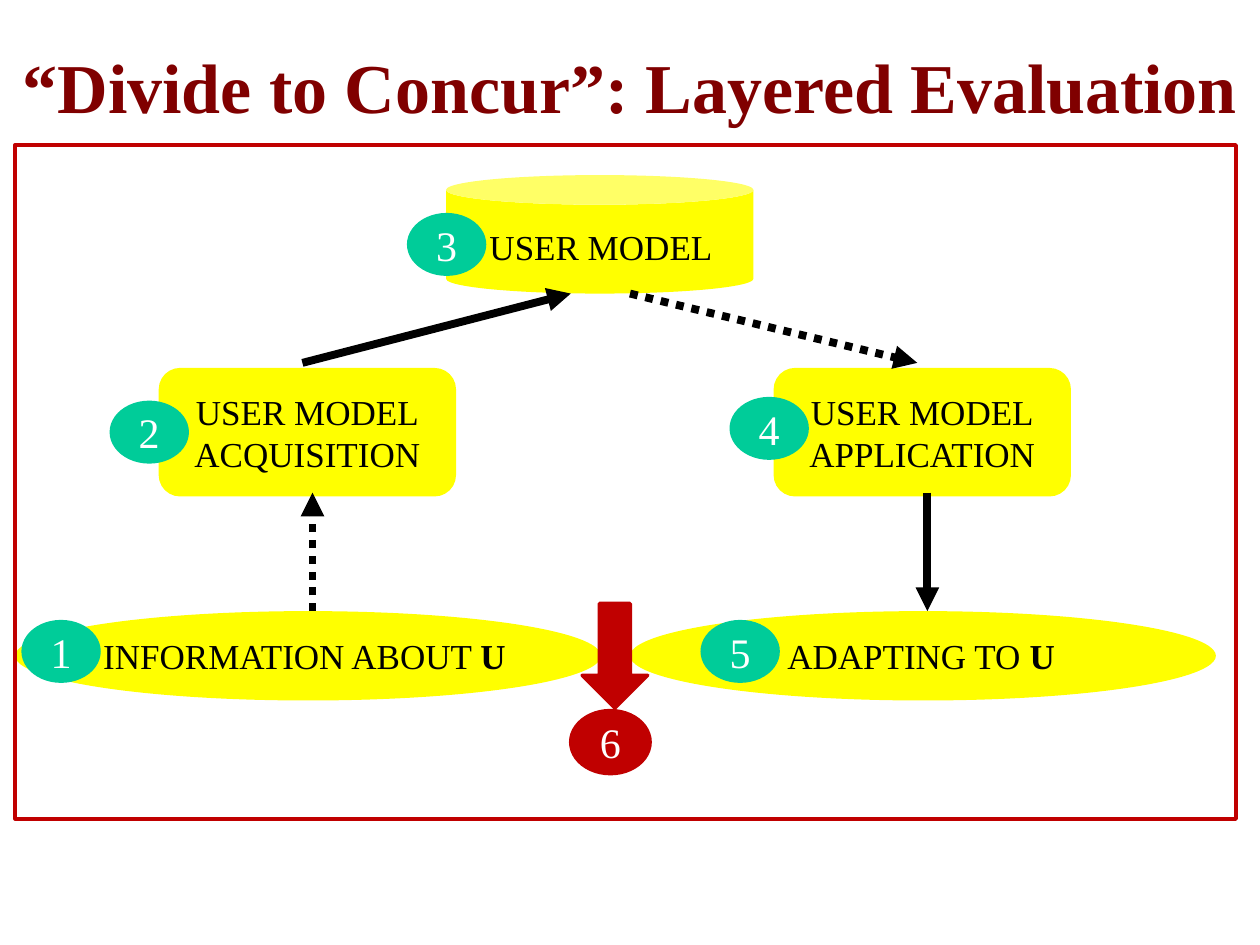
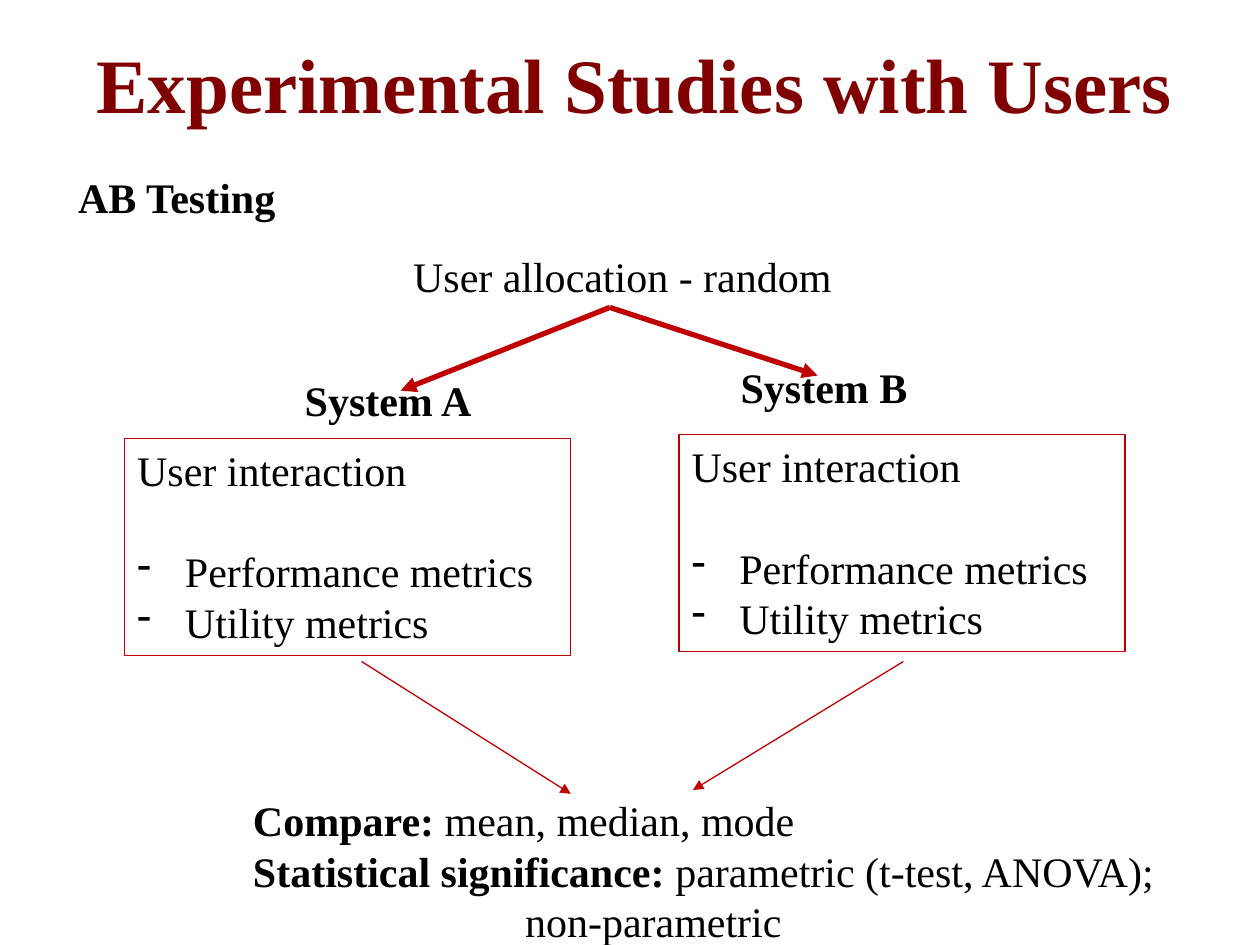
from typing import NamedTuple

from lxml.etree import SubElement
from pptx import Presentation
from pptx.dml.color import RGBColor
from pptx.enum.dml import MSO_LINE_DASH_STYLE as Dash
from pptx.enum.shapes import MSO_AUTO_SHAPE_TYPE as Kind, MSO_CONNECTOR_TYPE as Link
from pptx.enum.text import MSO_ANCHOR as Anchor, MSO_AUTO_SIZE as Fit, PP_ALIGN as Align
from pptx.oxml.ns import qn
from pptx.util import Inches, Pt

# Shared look; the grid has 100 columns and 75 rows
WIDE, HIGH = Inches(10), Inches(7.5)
COLS, ROWS = 100, 75
FONT = "Times New Roman"
MAROON, RED, YELLOW, GREEN = "800000", "C00000", "FFFF00", "00CC99"
BLACK, WHITE = "000000", "FFFFFF"
BADGE_W, BADGE_H = 6.3, 5


class Area(NamedTuple):
    col: float
    row: float
    cols: float
    rows: float


class Node(NamedTuple):
    kind: Kind
    area: Area
    text: str
    label: Area
    align: Align = Align.CENTER


class Badge(NamedTuple):
    text: str
    col: float
    row: float
    color: str = GREEN


class Arrow(NamedTuple):
    start: tuple[float, float]
    end: tuple[float, float]
    width: float
    color: str = RED
    dots: bool = False


def across(col: float) -> int:
    return round(WIDE * col / COLS)


def down(row: float) -> int:
    return round(HIGH * row / ROWS)


def place(area: Area) -> tuple[int, int, int, int]:
    return across(area.col), down(area.row), across(area.cols), down(area.rows)


def paint(form, color: str) -> None:
    """Give a fill or a font its colour."""
    if hasattr(form, "solid"):
        form.solid()
        form.fore_color.rgb = RGBColor.from_string(color)
    else:
        form.color.rgb = RGBColor.from_string(color)


def write(frame, text: str, size: float, color: str = BLACK,
          align: Align = Align.LEFT) -> None:
    """Fill a frame; words between asterisks are bold."""
    frame.text = text
    for para in frame.paragraphs:
        first, *rest = para.text.split("*")
        para.text = first
        para.alignment = align
        for spot, part in enumerate(rest):
            if part:
                run = para.add_run()
                run.text = part
                run.font.bold = spot % 2 == 0
        for run in para.runs:
            run.font.name = FONT
            run.font.size = Pt(size)
            paint(run.font, color)


def indent(para, left: float, hang: float = 0, mark: str = "") -> None:
    """Set the indents and the bullet of a paragraph."""
    props = para._p.get_or_add_pPr()
    props.set("marL", str(across(left)))
    props.set("indent", str(-across(hang)))
    if mark:
        SubElement(props, qn("a:buChar")).set("char", mark)
    else:
        SubElement(props, qn("a:buNone"))


def add_title(slide, text: str, area: Area, size: float) -> None:
    title = slide.shapes.title
    title.left, title.top, title.width, title.height = place(area)
    frame = title.text_frame
    frame.auto_size = Fit.NONE
    frame.vertical_anchor = Anchor.MIDDLE
    write(frame, f"*{text}*", size, MAROON, Align.CENTER)


def add_label(slide, text: str, area: Area, size: float = 24,
              align: Align = Align.LEFT, wrap: bool = False):
    frame = slide.shapes.add_textbox(*place(area)).text_frame
    frame.word_wrap = wrap
    write(frame, text, size, align=align)
    return frame


def add_form(slide, kind: Kind, area: Area, fill: str = "", edge: str = "",
             width: float = 2):
    form = slide.shapes.add_shape(kind, *place(area))
    form.shadow.inherit = False
    if fill:
        paint(form.fill, fill)
    else:
        form.fill.background()
    if edge:
        paint(form.line.fill, edge)
        form.line.width = Pt(width)
    else:
        form.line.fill.background()
    return form


def add_node(slide, node: Node) -> None:
    add_form(slide, node.kind, node.area, YELLOW)
    add_label(slide, node.text, node.label, 20, node.align)


def add_badge(slide, badge: Badge) -> None:
    edge = RED if badge.color == RED else ""
    area = Area(badge.col, badge.row, BADGE_W, BADGE_H)
    form = add_form(slide, Kind.OVAL, area, badge.color, edge)
    form.text_frame.vertical_anchor = Anchor.MIDDLE
    form.text_frame.word_wrap = False
    write(form.text_frame, badge.text, 24, WHITE, Align.CENTER)


def add_arrow(slide, arrow: Arrow) -> None:
    (col, row), (to_col, to_row) = arrow.start, arrow.end
    link = slide.shapes.add_connector(
        Link.STRAIGHT, across(col), down(row), across(to_col), down(to_row))
    paint(link.line.fill, arrow.color)
    link.line.width = Pt(arrow.width)
    if arrow.dots:
        link.line.dash_style = Dash.ROUND_DOT
    SubElement(link.line._get_or_add_ln(), qn("a:tailEnd")).set("type", "triangle")
    SubElement(link._element.spPr, qn("a:effectLst"))


def add_layers(deck) -> None:
    slide = deck.slides.add_slide(deck.slide_layouts[5])
    add_title(slide, "“Divide to Concur”: Layered Evaluation", Area(0, 0.5, 100, 12.5), 40)

    # Layers, mirrored around the user model
    nodes = [
        Node(Kind.CAN, Area(35.4, 13.9, 24.4, 9.4), "USER MODEL",
             Area(35.5, 17.4, 24.4, 4.3)),
        Node(Kind.OVAL, Area(1.2, 48.5, 46.5, 7.1), "INFORMATION ABOUT *U*",
             Area(7.2, 49.9, 34.5, 4.3), Align.LEFT),
        Node(Kind.OVAL, Area(50, 48.5, 46.5, 7.1), "ADAPTING TO *U*",
             Area(61.5, 49.9, 23.4, 4.3), Align.LEFT),
    ]
    for col, word in ((12.6, "ACQUISITION"), (61.4, "APPLICATION")):
        nodes.append(Node(Kind.ROUNDED_RECTANGLE, Area(col, 29.2, 23.6, 10.2),
                          f"USER MODEL\v{word}", Area(col - 0.4, 30.5, 24.4, 7.7)))
    for node in nodes:
        add_node(slide, node)

    # Flow between the layers
    for start, end, dots in (
        ((24.8, 48.5), (24.8, 39.1), True),
        ((24, 28.8), (45.3, 23.3), False),
        ((50, 23.3), (72.8, 28.8), True),
        ((73.6, 39.1), (73.6, 48.5), False),
    ):
        add_arrow(slide, Arrow(start, end, 4.5, BLACK, dots))

    # Step numbers
    block = add_form(slide, Kind.DOWN_ARROW, Area(46.2, 47.9, 5.2, 8.3), RED, RED)
    block.adjustments[0] = 0.47
    for badge in (
        Badge("6", 45.3, 56.4, RED),
        Badge("1", 1.7, 49.2),
        Badge("2", 8.7, 31.8),
        Badge("3", 32.3, 16.9),
        Badge("4", 57.9, 31.5),
        Badge("5", 55.6, 49.2),
    ):
        add_badge(slide, badge)

    # Frame
    add_form(slide, Kind.RECTANGLE, Area(1.2, 11.5, 96.9, 53.5), edge=RED)


def add_study(deck) -> None:
    slide = deck.slides.add_slide(deck.slide_layouts[1])
    add_title(slide, "Experimental Studies with Users", Area(2.8, 0.3, 95.2, 12.5), 44)

    # Heading
    body = slide.placeholders[1]
    body.left, body.top, body.width, body.height = place(Area(5.2, 13.9, 90.2, 6.3))
    body.text_frame.auto_size = Fit.NONE
    write(body.text_frame, "*AB Testing*", 24)
    head = body.text_frame.paragraphs[0]
    head.line_spacing = 0.8
    head.space_before = Pt(5)
    indent(head, 0)

    # The two systems
    add_label(slide, "User allocation - random", Area(31.8, 19.4, 35.5, 5))
    for name, col, row, box_col, box_row in (
        ("A", 23.2, 29.2, 9.9, 34.8),
        ("B", 57.8, 28.2, 53.9, 34.5),
    ):
        add_label(slide, f"*System {name}*", Area(col, row, 15.4, 5))
        box = add_form(slide, Kind.RECTANGLE, Area(box_col, box_row, 35.4, 17.2),
                       edge=RED, width=0.75)
        frame = box.text_frame
        frame.vertical_anchor = Anchor.TOP
        write(frame, "User interaction\nPerformance metrics\nUtility metrics", 24)
        top, *items = frame.paragraphs
        top.space_after = Pt(29)
        for item in items:
            indent(item, 3.8, 3.8, "-")

    # Comparison
    frame = add_label(
        slide,
        "*Compare: *mean, median, mode\n"
        "*Statistical significance: *parametric (t-test, ANOVA);\n"
        "non-parametric",
        Area(19.1, 62.6, 75, 13.1), wrap=True)
    indent(frame.paragraphs[-1], 21.6)

    # Split and join
    for start, end, width in (
        ((48.4, 24.4), (31.8, 31), 3),
        ((48.4, 24.4), (64.9, 29.8), 3),
        ((28.7, 52.5), (45.3, 63), 0.75),
        ((71.7, 52.5), (55, 62.7), 0.75),
    ):
        add_arrow(slide, Arrow(start, end, width))


def main() -> None:
    deck = Presentation()
    deck.slide_width, deck.slide_height = WIDE, HIGH
    add_layers(deck)
    add_study(deck)
    deck.save("out.pptx")


if __name__ == "__main__":
    main()
